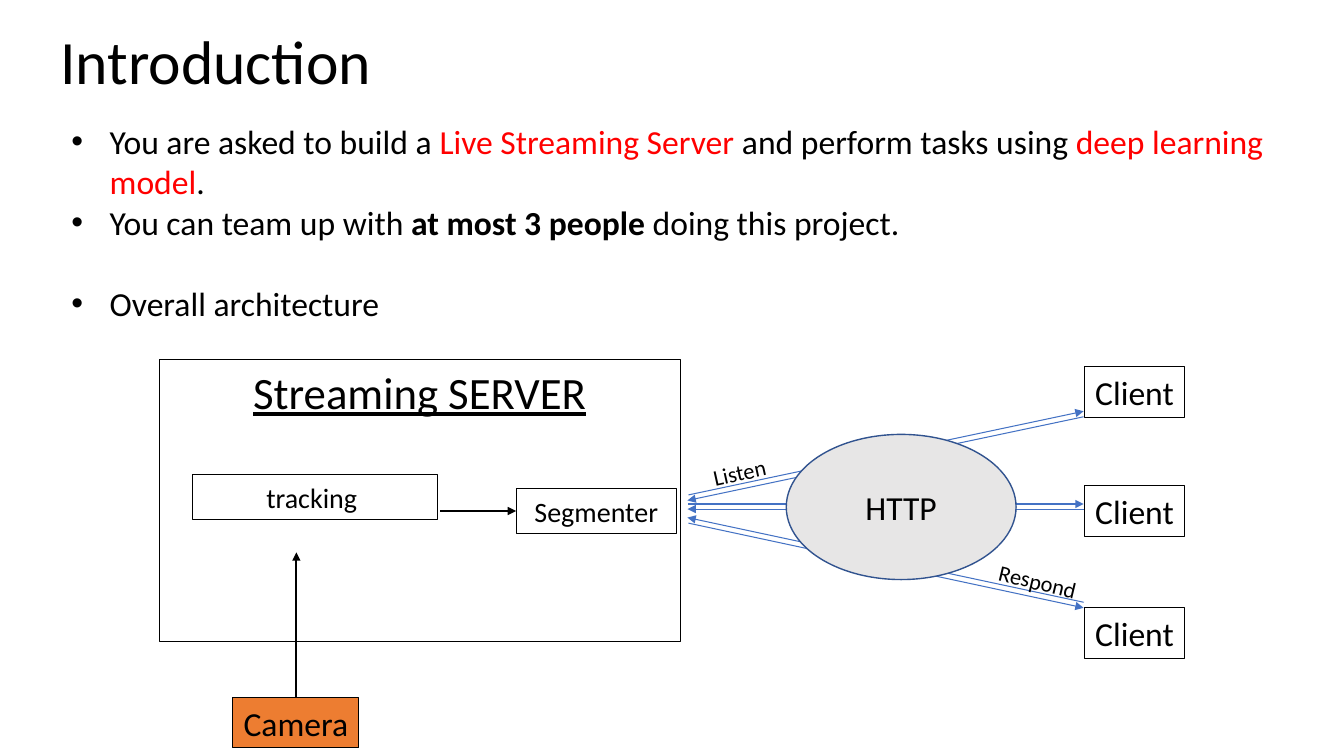
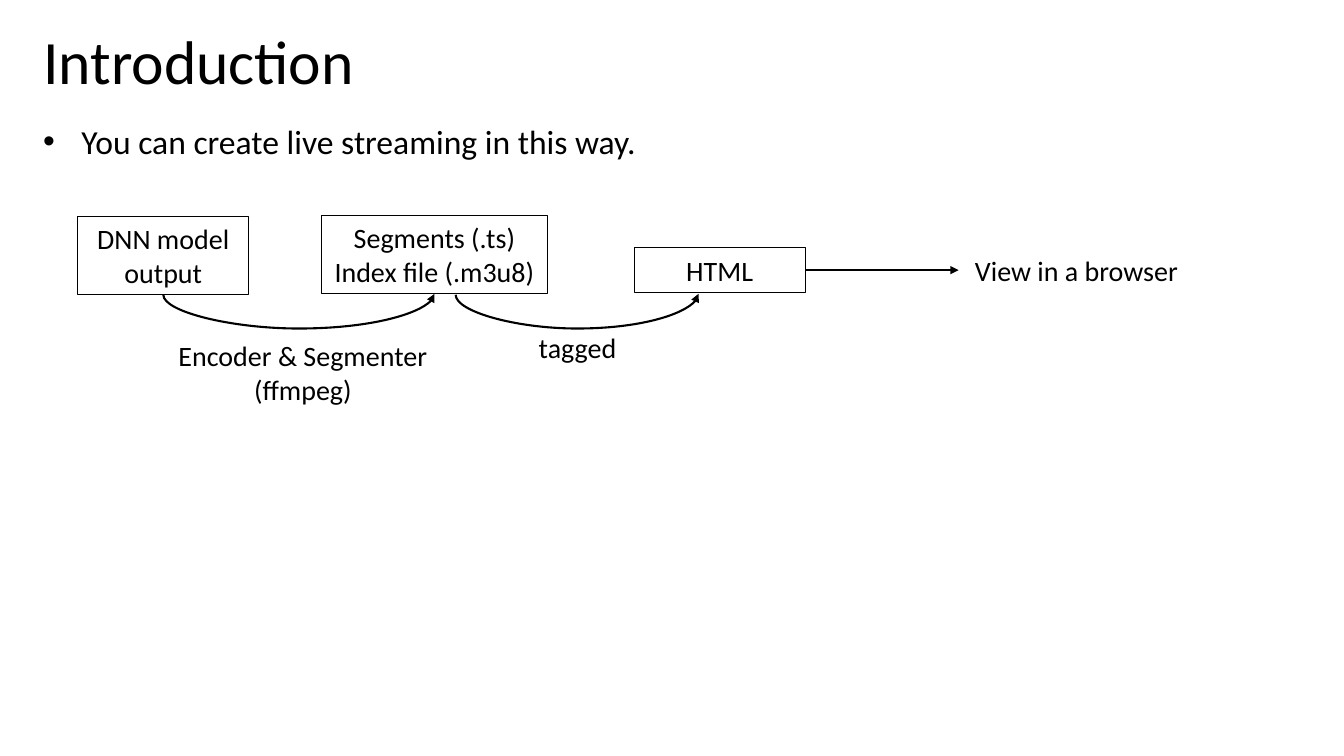
from dataclasses import dataclass

from lxml import etree
from pptx import Presentation
from pptx import util as u
from pptx.dml.color import RGBColor
from pptx.enum import shapes, text
from pptx.oxml import ns


@dataclass(frozen=True)
class Theme:
    font: str = "Calibri"
    ink: str = "000000"
    accent: str = "FF0000"
    flow: str = "4472C4"
    camera: str = "ED7D31"
    hub: str = "E7E6E6"
    hub_edge: str = "31538F"
    title: int = 44
    heading: int = 32
    body: int = 24
    label: int = 20
    note: int = 16
    thin: float = 0.75
    thick: float = 1.5


THEME = Theme()
COLUMNS, ROWS = 133.33, 75
CELL = u.Inches(0.1)


@dataclass(frozen=True)
class Box:
    left: float
    top: float
    width: float
    height: float

    def area(self, column, row, width, height):
        return Box(self.left + column, self.top + row, width, height)

    def point(self, column, row):
        return self.left + column, self.top + row

    def emu(self):
        return [cells(v) for v in (self.left, self.top, self.width, self.height)]


def cells(count):
    return int(count * CELL)


def rgb(value):
    return RGBColor.from_string(value)


def add_run(paragraph, wording, size, color=THEME.ink, bold=None, underline=None):
    run = paragraph.add_run()
    run.text = wording
    font = run.font
    font.name, font.size = THEME.font, u.Pt(size)
    font.bold, font.underline = bold, underline
    font.color.rgb = rgb(color)


def write_lines(frame, lines, size, wrap=True, align=text.PP_ALIGN.CENTER,
                anchor=text.MSO_ANCHOR.MIDDLE, underline=None):
    frame.word_wrap = wrap
    frame.vertical_anchor = anchor
    for index, line in enumerate(lines):
        paragraph = frame.paragraphs[0] if index == 0 else frame.add_paragraph()
        paragraph.alignment = align
        add_run(paragraph, line, size, underline=underline)


def node(slide, box, *lines, size=THEME.label, fill=None, edge=THEME.ink, weight=THEME.thin,
         outline=shapes.MSO_SHAPE.RECTANGLE, **style):
    shape = slide.shapes.add_shape(outline, *box.emu())
    shape.shadow.inherit = False
    if fill:
        shape.fill.solid()
        shape.fill.fore_color.rgb = rgb(fill)
    else:
        shape.fill.background()
    shape.line.color.rgb = rgb(edge)
    shape.line.width = u.Pt(weight)
    write_lines(shape.text_frame, lines, size, **style)


def caption(slide, box, *lines, size=THEME.label, rotation=0, **style):
    label = slide.shapes.add_textbox(*box.emu())
    label.rotation = rotation
    write_lines(label.text_frame, lines, size, **style)


def arrow(slide, start, end, color=THEME.ink, weight=THEME.thick,
          route=shapes.MSO_CONNECTOR.STRAIGHT):
    line = slide.shapes.add_connector(route, *map(cells, start + end))
    line.line.color.rgb = rgb(color)
    line.line.width = u.Pt(weight)
    properties = line._element.spPr
    etree.SubElement(properties.find(ns.qn("a:ln")), ns.qn("a:tailEnd"), type="triangle")
    etree.SubElement(properties, ns.qn("a:effectLst"))
    return line


def sagging_arrow(slide, start, span, depth):
    rise = 0.1
    middle, level = start[0] + span / 2, start[1]
    curve = arrow(slide, (middle + rise / 2, level + span / 2),
                  (middle - rise / 2, level - span / 2),
                  route=shapes.MSO_CONNECTOR.CURVE)
    properties = curve._element.spPr
    properties.find(ns.qn("a:xfrm")).set("rot", str(90 * 60000))
    geometry = properties.find(ns.qn("a:prstGeom"))
    guides = geometry.find(ns.qn("a:avLst"))
    if guides is None:
        guides = etree.SubElement(geometry, ns.qn("a:avLst"))
    bend = round(-depth / rise * 100000)
    etree.SubElement(guides, ns.qn("a:gd"), name="adj1", fmla=f"val {bend}")


def title(slide, box):
    caption(slide, box, "Introduction", size=THEME.title, align=text.PP_ALIGN.LEFT)


def bullets(slide, box, items):
    frame = slide.shapes.add_textbox(*box.emu()).text_frame
    frame.word_wrap = True
    indent = u.Inches(0.38)
    for index, (gap, runs) in enumerate(items):
        paragraph = frame.paragraphs[0] if index == 0 else frame.add_paragraph()
        paragraph.space_before = u.Pt(gap)
        properties = paragraph._p.get_or_add_pPr()
        properties.set("marL", str(indent))
        properties.set("indent", str(-indent))
        etree.SubElement(properties, ns.qn("a:buFont"), typeface="Arial")
        etree.SubElement(properties, ns.qn("a:buChar"), char="•")
        for wording, style in runs:
            add_run(paragraph, wording, THEME.body, **style)


def streaming_server(slide, box):
    node(slide, box.area(0, 0, box.width, 27.9), "Streaming SERVER", size=THEME.heading,
         anchor=text.MSO_ANCHOR.TOP, underline=True)
    node(slide, box.area(3.3, 11.4, 24.3, 4.4), "tracking ")
    node(slide, box.area(35.4, 12.8, 15.9, 4.4), "Segmenter")
    node(slide, box.area(7.3, 33.5, 12.5, 5), "Camera", size=THEME.body,
         fill=THEME.camera, wrap=False)
    arrow(slide, box.point(13.6, 33.5), box.point(13.6, 19.1))
    arrow(slide, box.point(27.9, 15), box.point(35.4, 15))


def client_exchange(slide, box):
    near, far = 0.1, box.width - 10
    for client_row, server_row, line_row, shift in (
            (0, 12.7, 4.4, 0.55), (11.8, 13.6, 13.6, 0.5), (23.9, 15.5, 23.9, -0.55)):
        node(slide, box.area(box.width - 9.9, client_row, 9.9, 5), "Client",
             size=THEME.body, wrap=False)
        for start, end in (((near, server_row), (far, line_row)),
                           ((far, line_row + shift), (near - 0.1, server_row + shift))):
            arrow(slide, box.point(*start), box.point(*end), THEME.flow, THEME.thin)
    node(slide, box.area(9.8, 6.7, 22.8, 14.4), "HTTP", size=THEME.body, fill=THEME.hub,
         edge=THEME.hub_edge, weight=1, outline=shapes.MSO_SHAPE.OVAL)
    caption(slide, box.area(29.8, 19.4, 9.9, 3.7), "Respond", size=THEME.note, rotation=13.5)
    caption(slide, box.area(1.4, 8.6, 7.5, 3.7), "Listen", size=THEME.note, rotation=347.3)


def streaming_steps(slide, box):
    node(slide, box.area(0, 0.1, 17, 7.7), "DNN model output")
    node(slide, box.area(24.2, 0, 22.4, 7.7), "Segments (.ts)", "Index file (.m3u8)")
    node(slide, box.area(55.2, 3.2, 17, 4.4), "HTML")
    caption(slide, box.area(8.5, 11.7, 27.7, 7.7), "Encoder & Segmenter", "(ffmpeg)")
    caption(slide, box.area(36.3, 10.9, 26.6, 4.4), "tagged")
    caption(slide, box.area(85.8, 3.2, 26.6, 4.4), "View in a browser")
    for column, span in ((8.5, 26.9), (37.5, 24.1)):
        sagging_arrow(slide, box.point(column, 7.8), span, 3.4)
    arrow(slide, box.point(72.2, 5.4), box.point(87.4, 5.4))


def architecture_slide(slide):
    plain, red = {}, {"color": THEME.accent}
    title(slide, Box(5, 1.7, 125.5, 8.4))
    bullets(slide, Box(6.1, 11.5, 122.8, 21.2), (
        (0, (("You are asked to build a ", plain), ("Live Streaming Server ", red),
             ("and perform tasks using ", plain), ("deep learning model", red),
             (".", plain))),
        (0, (("You can team up with ", plain), ("at most 3 people ", {"bold": True}),
             ("doing this project.", plain))),
        (29, (("Overall architecture", plain),)),
    ))
    streaming_server(slide, Box(15.8, 35.7, 51.7, 38.5))
    client_exchange(slide, Box(68.2, 36.4, 49.3, 28.9))


def live_streaming_slide(slide):
    title(slide, Box(3.3, 1.7, 127.2, 8.4))
    bullets(slide, Box(3.3, 11.5, 126.5, 5),
            ((0, (("You can create live streaming in this way.", {}),)),))
    streaming_steps(slide, Box(7.7, 21.4, 112.4, 19.4))


def main():
    deck = Presentation()
    deck.slide_width, deck.slide_height = cells(COLUMNS), cells(ROWS)
    for fill_slide in (architecture_slide, live_streaming_slide):
        fill_slide(deck.slides.add_slide(deck.slide_layouts[6]))
    deck.save("out.pptx")


if __name__ == "__main__":
    main()
